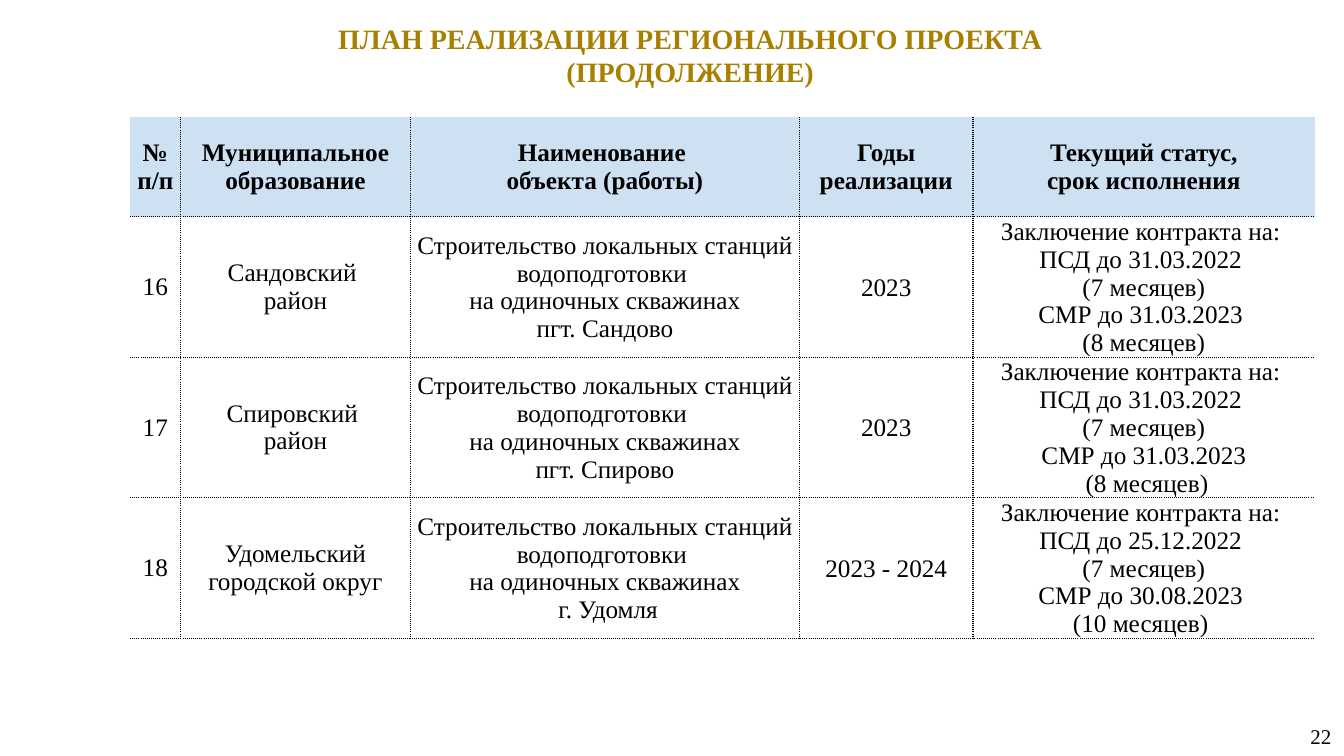
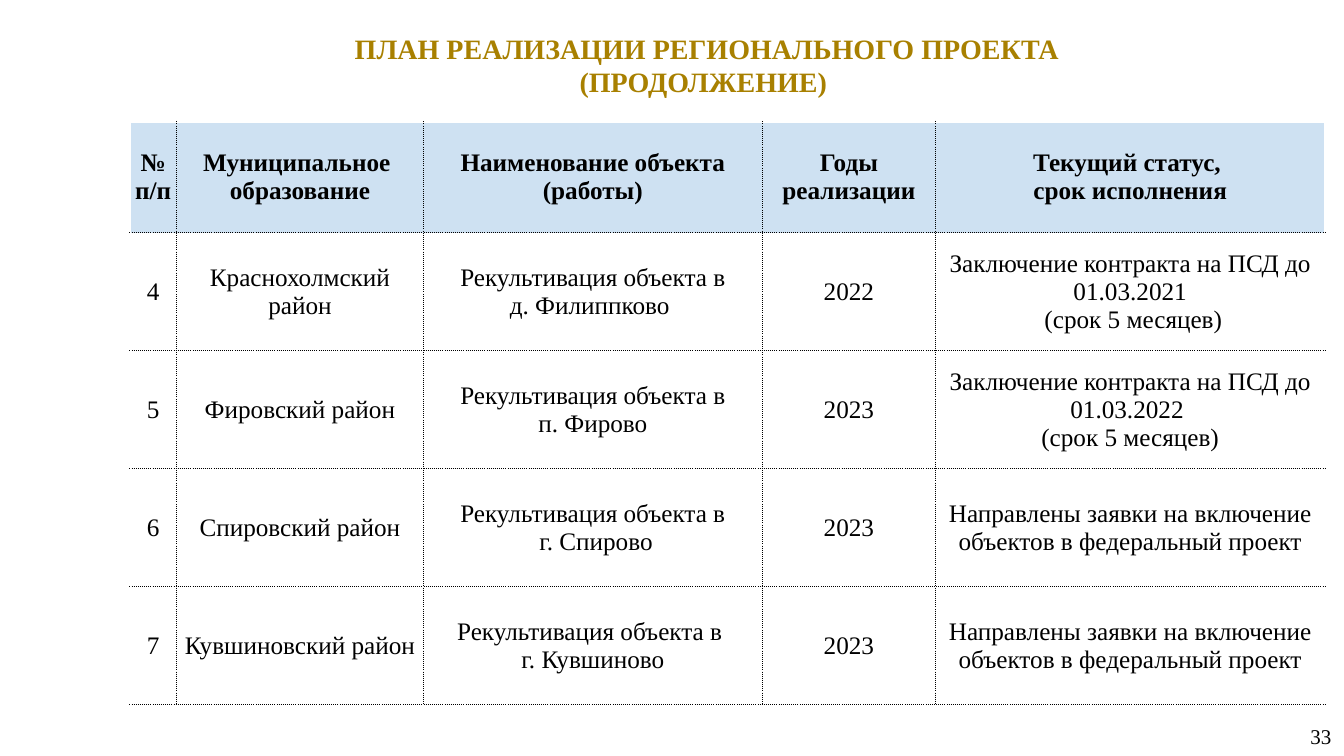
from lxml.etree import SubElement
from pptx import Presentation
from pptx.dml.color import RGBColor
from pptx.enum.text import MSO_ANCHOR, MSO_AUTO_SIZE, PP_ALIGN
from pptx.oxml.ns import qn
from pptx.util import Emu, Pt

FONT = "Times New Roman"
GOLD, BLACK, WHITE, HEADER_BLUE = "A88000", "000000", "FFFFFF", "CEE1F2"
TITLE_ONLY = 5
TITLE = "ПЛАН РЕАЛИЗАЦИИ РЕГИОНАЛЬНОГО ПРОЕКТА"
CONTINUED = "(ПРОДОЛЖЕНИЕ)"


def px(length):
    """One hundred px make an inch."""
    return Emu(length * 9144)


def color(hex_text):
    return RGBColor.from_string(hex_text)


# Text
def set_margins(target, left, top, right, bottom):
    target.margin_left, target.margin_top = px(left), px(top)
    target.margin_right, target.margin_bottom = px(right), px(bottom)


def write(frame, paragraphs, size, hex_text=BLACK, bold=False):
    """Fill a text frame with centred paragraphs; a newline inside one is a line break."""
    for index, text in enumerate(paragraphs):
        para = frame.paragraphs[0] if index == 0 else frame.add_paragraph()
        para.text = text
        para.alignment = PP_ALIGN.CENTER
        para.font.name = FONT
        para.font.size = Pt(size)
        para.font.bold = bold
        para.font.color.rgb = color(hex_text)


def set_title(page, paragraphs, place, margins):
    title = page.shapes.title
    title.left, title.top, title.width, title.height = map(px, place)
    frame = title.text_frame
    frame.word_wrap = True
    frame.auto_size = MSO_AUTO_SIZE.NONE
    frame.vertical_anchor = MSO_ANCHOR.TOP
    set_margins(frame, *margins)
    write(frame, paragraphs, 20, GOLD, bold=True)


def add_page_number(page, number):
    box = page.shapes.add_textbox(px(1286), px(710), px(48), px(40))
    frame = box.text_frame
    frame.word_wrap = True
    frame.vertical_anchor = MSO_ANCHOR.MIDDLE
    set_margins(frame, 10, 5, 10, 5)
    write(frame, [str(number)], 15)


# Table
def set_borders(cell, edges):
    """Draw left, right, top and bottom edges: black is dotted, None is no line."""
    properties = cell._tc.get_or_add_tcPr()
    for index, (side, hex_text) in enumerate(zip("LRTB", edges)):
        line = SubElement(properties, qn(f"a:ln{side}"), w=str(Pt(1)))
        properties.insert(index, line)
        if hex_text is None:
            SubElement(line, qn("a:noFill"))
            continue
        fill = SubElement(line, qn("a:solidFill"))
        SubElement(fill, qn("a:srgbClr"), val=hex_text)
        dash = "sysDot" if hex_text == BLACK else "solid"
        SubElement(line, qn("a:prstDash"), val=dash)


def add_plan_table(page, top, widths, header_height, row_height, rows, outer):
    heights = [header_height] + [row_height] * (len(rows) - 1)
    table = page.shapes.add_table(
        len(rows), len(widths), px(129), px(top), px(sum(widths)), px(sum(heights))
    ).table
    table.first_row = table.horz_banding = False
    for column, width in zip(table.columns, widths):
        column.width = px(width)
    last = len(widths) - 1
    for i, (row, height) in enumerate(zip(rows, heights)):
        table.rows[i].height = px(height)
        is_header = i == 0
        for j, content in enumerate(row):
            cell = table.cell(i, j)
            cell.vertical_anchor = MSO_ANCHOR.MIDDLE
            inset = 0 if is_header or j < 2 else 1
            set_margins(cell, inset, inset, inset, 0)
            if is_header:
                cell.fill.solid()
                cell.fill.fore_color.rgb = color(HEADER_BLUE)
            else:
                cell.fill.background()
            paragraphs = [content] if isinstance(content, str) else content
            write(cell.text_frame, paragraphs, 18, bold=is_header)
            set_borders(cell, (
                outer if j == 0 else BLACK,
                outer if j == last else BLACK,
                outer if is_header else BLACK,
                BLACK,
            ))


# Wording that recurs in the rows
def water_station(place):
    return ("Строительство локальных станций водоподготовки \n"
            "на одиночных скважинах\n" + place)


def contracts(design_date, *building):
    return ("Заключение контракта на: ", f"ПСД до {design_date} \n(7 месяцев)", *building)


def design_contract(date, term):
    return (f"Заключение контракта на ПСД до {date}", term)


def main():
    deck = Presentation()
    deck.slide_width, deck.slide_height = px(1333), px(750)
    layout = deck.slide_layouts[TITLE_ONLY]

    # Water treatment stations
    page = deck.slides.add_slide(layout)
    set_title(page, [TITLE, CONTINUED], (99, 14, 1171, 81), (13, 7, 13, 7))
    add_plan_table(page, 116, [50, 228, 386, 172, 339], 99, 131, [
        ("№ п/п", "Муниципальное образование", "Наименование \nобъекта (работы)",
         "Годы реализации", "Текущий статус,\nсрок исполнения"),
        ("16", "Сандовский \nрайон", water_station("пгт. Сандово"), "2023",
         contracts("31.03.2022", "СМР до 31.03.2023 \n(8 месяцев)")),
        ("17", "Спировский \nрайон", water_station("пгт. Спирово"), "2023",
         contracts("31.03.2022", "СМР до 31.03.2023", " (8 месяцев)")),
        ("18", "Удомельский городской округ", water_station(" г. Удомля"), "2023 - 2024",
         contracts("25.12.2022", "СМР до 30.08.2023 ", "(10 месяцев) ")),
    ], outer=None)
    add_page_number(page, 22)

    # Land reclamation
    page = deck.slides.add_slide(layout)
    set_title(page, [" " + TITLE, CONTINUED], (129, 26, 1137, 77), (10, 5, 10, 5))
    reclamation = "Рекультивация объекта в "
    applied = "Направлены заявки на включение объектов в федеральный проект"
    add_plan_table(page, 121, [46, 245, 336, 172, 386], 110, 117, [
        ("№ п/п", "Муниципальное \nобразование", "Наименование объекта (работы)",
         "Годы реализации", "Текущий статус, \nсрок исполнения"),
        ("4", "Краснохолмский район", (" " + reclamation, "д. Филиппково "), "2022",
         design_contract("01.03.2021", " (срок 5 месяцев)")),
        ("5", "Фировский район", (" " + reclamation, "п. Фирово"), "2023",
         design_contract("01.03.2022 ", "(срок 5 месяцев)")),
        ("6", "Спировский район", (reclamation.strip(), " г. Спирово"), "2023", applied),
        ("7", "Кувшиновский район", (reclamation, "г. Кувшиново"), "2023", applied),
    ], outer=WHITE)
    add_page_number(page, 33)

    deck.save("out.pptx")


if __name__ == "__main__":
    main()
